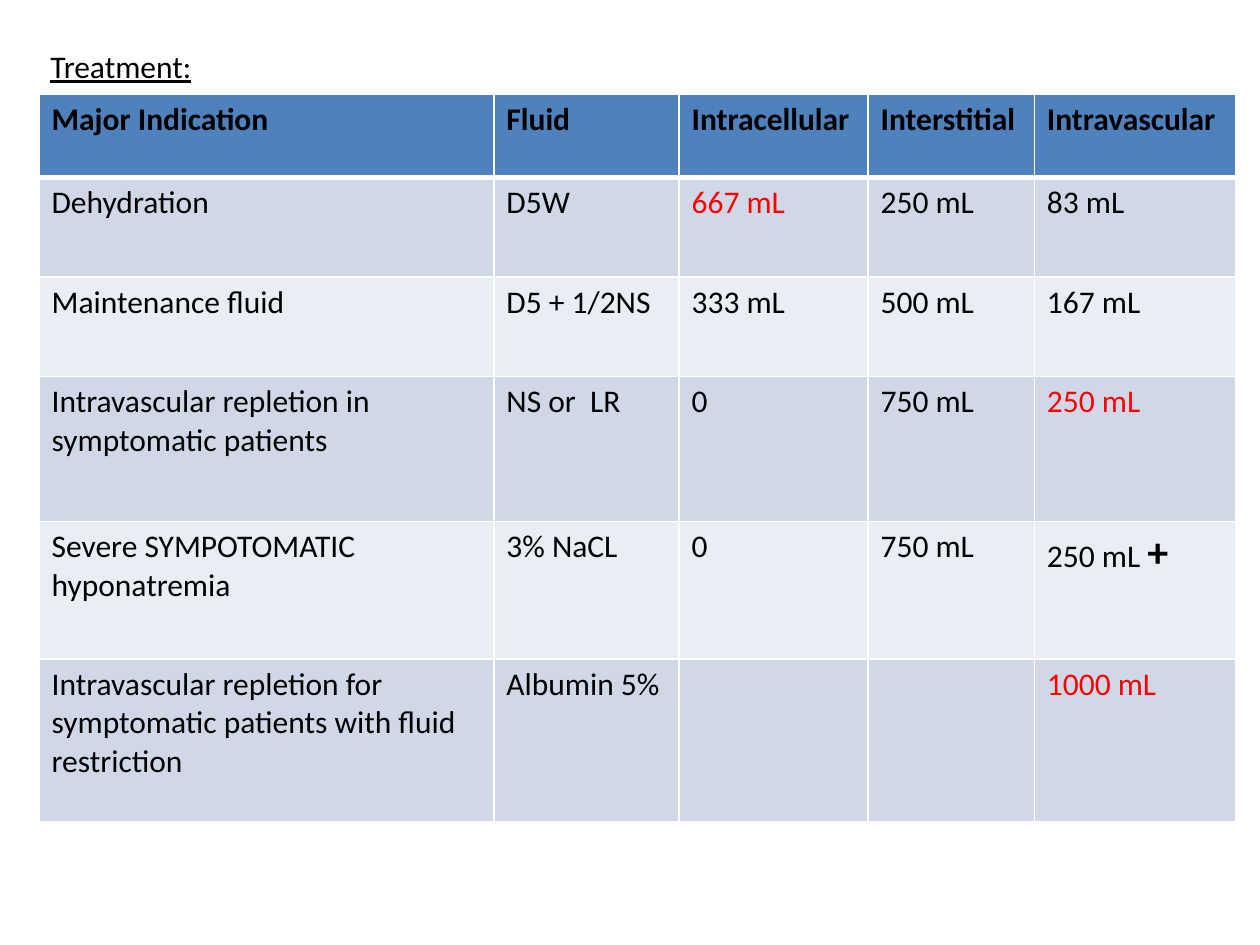
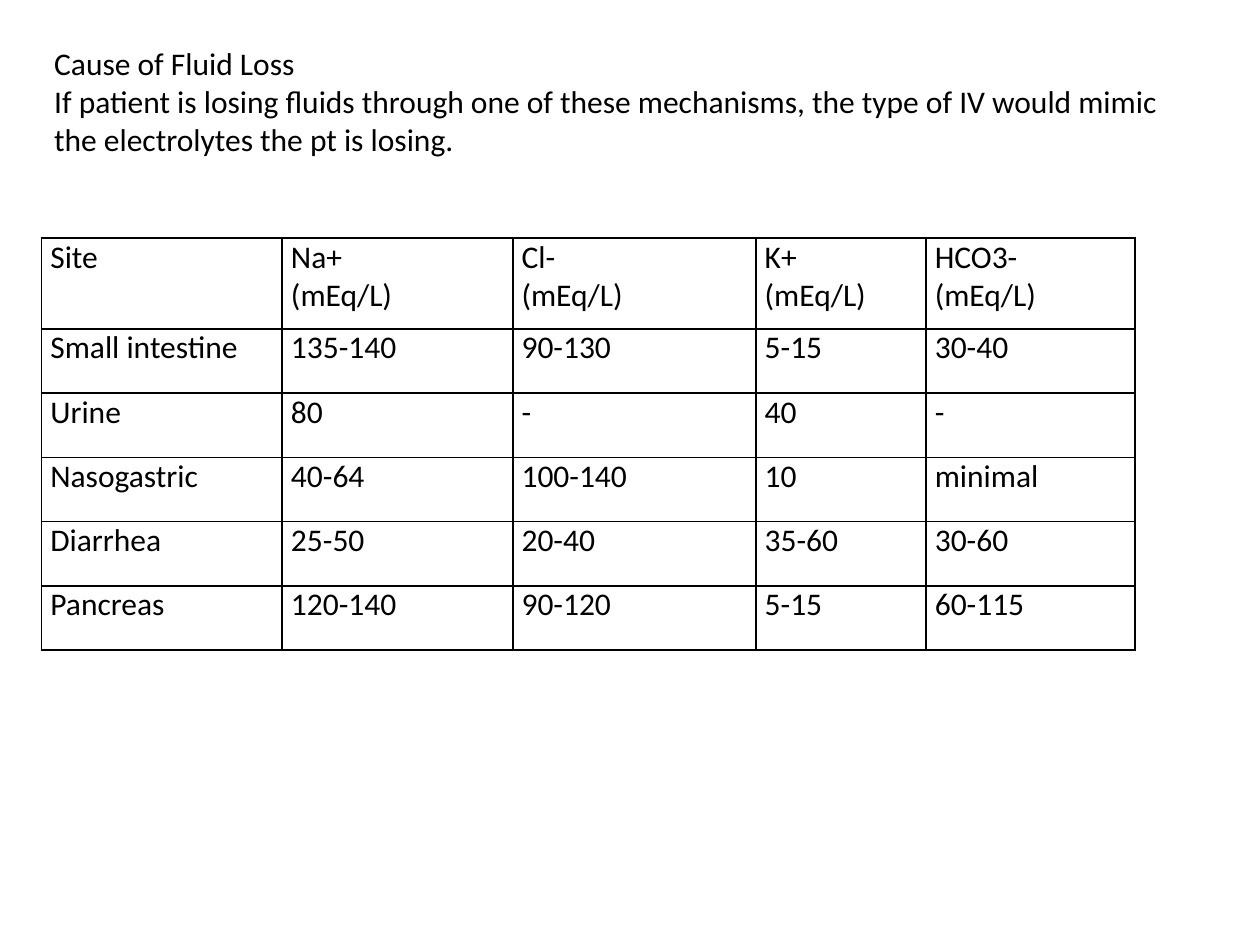
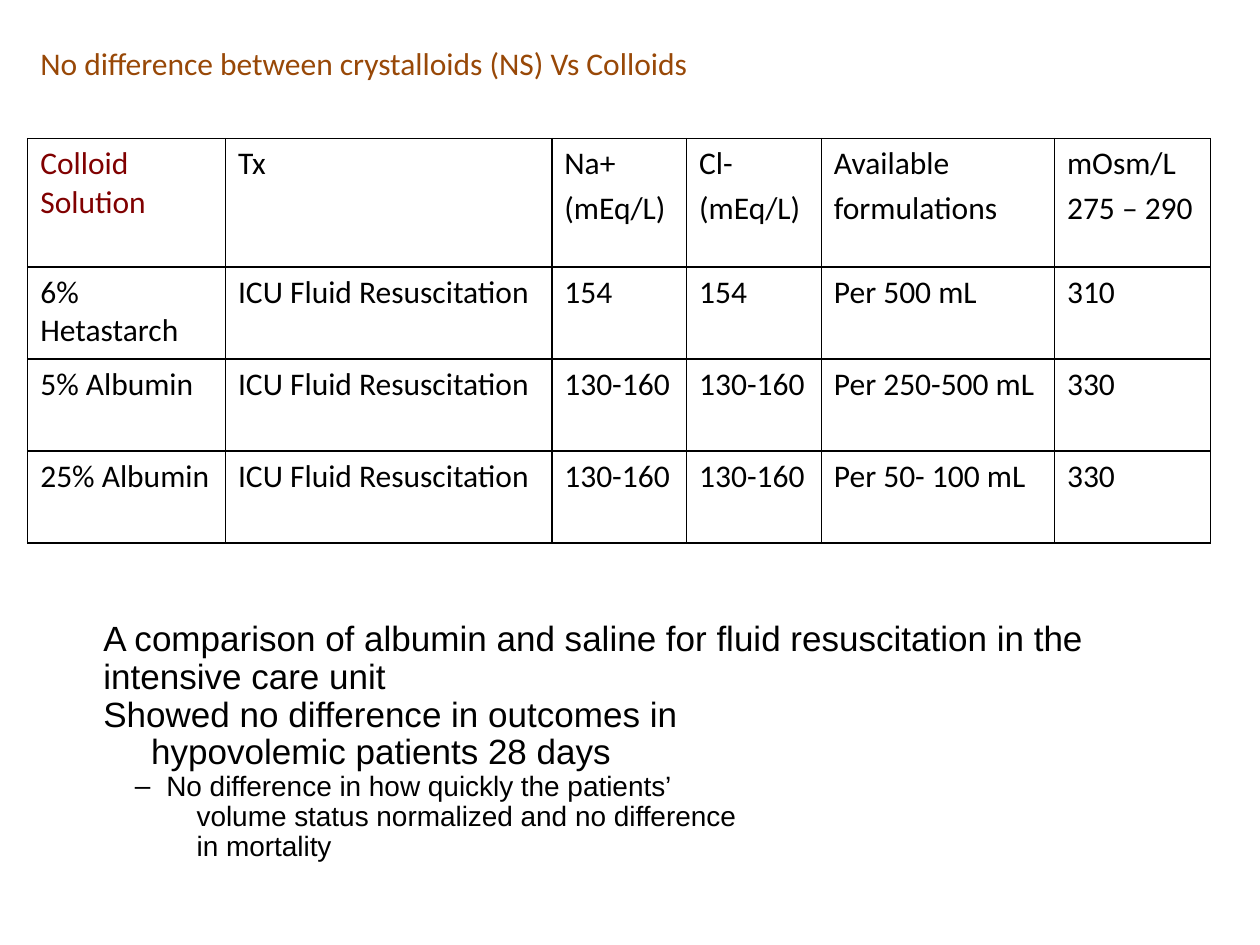
from pptx import Presentation
from pptx import util as u
from pptx.dml.color import RGBColor
from pptx.enum import text as t
from pptx.oxml import parse_xml
from pptx.oxml.ns import nsdecls

HUES = {
    "ink": "000000", "white": "FFFFFF", "head": "4F81BD", "dark": "D0D8E8",
    "light": "E9EDF4", "red": "FF0000", "maroon": "800000", "brown": "984807",
}
FONT = "Calibri"
TITLE_ONLY, TITLE_BODY = 5, 1


def write(frame, paras, font=FONT, size=18, hue="ink", bold=False,
          under=False, gap=0, lead=1.0):
    """Fill a frame; a paragraph is a string or a list of (text, size, bold)."""
    for i, para in enumerate(paras):
        p = frame.paragraphs[0] if i == 0 else frame.add_paragraph()
        p.alignment = t.PP_ALIGN.LEFT
        p.line_spacing = lead
        p.space_before = u.Pt(gap if i else 0)
        runs = [(para, size, bold)] if isinstance(para, str) else para
        for words, pts, heavy in runs:
            r = p.add_run()
            r.text = words
            r.font.name, r.font.size = font, u.Pt(pts)
            r.font.bold, r.font.underline = heavy, under
            r.font.color.rgb = RGBColor.from_string(HUES[hue])


def place(shape, box, wrap=True):
    """Move a placeholder to its box and anchor its text at the top."""
    shape.left, shape.top, shape.width, shape.height = map(u.Inches, box)
    frame = shape.text_frame
    frame.auto_size = t.MSO_AUTO_SIZE.NONE
    frame.vertical_anchor = t.MSO_ANCHOR.TOP
    frame.word_wrap = wrap
    return frame


def start(deck, kind, box, paras, wrap=True, **fmt):
    """Add a slide with its heading."""
    slide = deck.slides.add_slide(deck.slide_layouts[kind])
    write(place(slide.shapes.title, box, wrap), paras, **fmt)
    return slide


def edge(cell, hue, **widths):
    """Draw cell borders; sides are L, R, T and B with widths in points."""
    props = cell._tc.get_or_add_tcPr()
    for i, side in enumerate("LRTB"):
        props.insert(i, parse_xml(
            f'<a:ln{side} {nsdecls("a")} w="{u.Pt(widths.get(side, 1))}">'
            f'<a:solidFill><a:srgbClr val="{HUES[hue]}"/></a:solidFill>'
            f'</a:ln{side}>'))


def grid(slide, left, top, cols, rows, data, line="ink", pad=(0.1, 0.05),
         bands=None, tints=None, gap=0):
    """Add a table; bands holds the header fill and two alternating fills."""
    box = map(u.Inches, (left, top, sum(cols), sum(rows)))
    table = slide.shapes.add_table(len(rows), len(cols), *box).table
    table.first_row = table.horz_banding = False
    for col, wide in zip(table.columns, cols):
        col.width = u.Inches(wide)
    for row, high in zip(table.rows, rows):
        row.height = u.Inches(high)
    for i, items in enumerate(data):
        for j, item in enumerate(items):
            cell = table.cell(i, j)
            cell.margin_left = cell.margin_right = u.Inches(pad[0])
            cell.margin_top = cell.margin_bottom = u.Inches(pad[1])
            if bands:
                hue = bands[0] if i == 0 else bands[2 - i % 2]
                cell.fill.solid()
                cell.fill.fore_color.rgb = RGBColor.from_string(HUES[hue])
            else:
                cell.fill.background()
            edge(cell, line, B=3 if bands and i == 0 else 1,
                 T=3 if bands and i == 1 else 1)
            paras = item.split("\n") if isinstance(item, str) else [item]
            if item:
                write(cell.text_frame, paras, gap=gap,
                      hue=(tints or {}).get((i, j), "ink"),
                      bold=bool(bands) and i == 0)


def notes(slide, box, items):
    """Fill the body list; an item is (text, level, indent, mark)."""
    frame = place(slide.placeholders[1], box)
    sizes = {1: 20, 2: 16}
    write(frame, [[(words, sizes[level], False)] for words, level, _, _ in items],
          font="Arial", lead=0.9)
    for p, (_, level, indent, mark) in zip(frame.paragraphs, items):
        p.level = level
        props = p._p.get_or_add_pPr()
        props.set("marL", str(u.Inches(indent)))
        props.set("indent", str(u.Inches(-0.25 if mark else 0)))
        bullet = f'buChar {nsdecls("a")} char="{mark}"' if mark else f'buNone {nsdecls("a")}'
        props.append(parse_xml(f"<a:{bullet}/>"))


def treat(deck):
    slide = start(deck, TITLE_ONLY, (0.3, 0.32, 1.36, 0.4), ["Treatment:"],
                  wrap=False, under=True)
    grid(slide, 0.31, 0.75, [3.61, 1.47, 1.5, 1.32, 1.6],
         [0.66, 0.79, 0.79, 1.15, 1.09, 1.29], [
             ["Major Indication", "Fluid", "Intracellular", "Interstitial",
              "Intravascular"],
             ["Dehydration", "D5W", "667 mL", "250 mL", "83 mL"],
             ["Maintenance fluid", "D5 + 1/2NS", "333 mL", "500 mL", "167 mL"],
             ["Intravascular repletion in symptomatic patients", "NS or  LR",
              "0", "750 mL", "250 mL"],
             ["Severe SYMPOTOMATIC hyponatremia", "3% NaCL", "0", "750 mL",
              [("250 mL ", 18, False), ("+", 24, True)]],
             ["Intravascular repletion for symptomatic patients with fluid "
              "restriction", "Albumin 5%", "", "", "1000 mL"],
         ], line="white", bands=("head", "dark", "light"),
         tints={(1, 2): "red", (3, 4): "red", (5, 4): "red"})


def losses(deck):
    slide = start(deck, TITLE_ONLY, (0.33, 0.3, 9.21, 1.01), [
        "Cause of Fluid Loss",
        "If patient is losing fluids through one of these mechanisms, the type "
        "of IV would mimic the electrolytes the pt is losing."])
    ions = [f"{ion}\n(mEq/L)" for ion in ("Na+", "Cl-", "K+", "HCO3-")]
    grid(slide, 0.33, 1.89, [1.91, 1.83, 1.93, 1.35, 1.66],
         [0.72] + [0.51] * 5, [
             ["Site"] + ions,
             ["Small intestine", "135-140", "90-130", "5-15", "30-40"],
             ["Urine", "80", "-", "40", "-"],
             ["Nasogastric", "40-64", "100-140", "10", "minimal"],
             ["Diarrhea", "25-50", "20-40", "35-60", "30-60"],
             ["Pancreas", "120-140", "90-120", "5-15", "60-115"],
         ], pad=(0.07, 0))


def colloids(deck):
    slide = start(deck, TITLE_BODY, (0.22, 0.3, 5.42, 0.4),
                  ["No difference between crystalloids (NS) Vs Colloids"],
                  wrap=False, hue="brown")
    use = "ICU Fluid Resuscitation"
    grid(slide, 0.22, 1.1, [1.57, 2.59, 1.07, 1.07, 1.85, 1.24],
         [1.02] + [0.73] * 3, [
             ["Colloid Solution", "Tx", "Na+\n(mEq/L)", "Cl-\n(mEq/L)",
              "Available\nformulations", "mOsm/L\n275 – 290"],
             ["6% Hetastarch", use, "154", "154", "Per 500 mL", "310"],
             ["5% Albumin", use, "130-160", "130-160", "Per 250-500 mL", "330"],
             ["25% Albumin", use, "130-160", "130-160", "Per 50- 100 mL", "330"],
         ], tints={(0, 0): "maroon"}, gap=3.6)
    notes(slide, (0.22, 4.88, 9.39, 2.04), [
        ("A comparison of albumin and saline for fluid resuscitation in the "
         "intensive care unit", 1, 0.5, ""),
        ("Showed no difference in outcomes in", 1, 0.5, ""),
        ("hypovolemic patients 28 days", 1, 0.88, ""),
        ("No difference in how quickly the patients’", 2, 1, "–"),
        ("volume status normalized and no difference", 2, 1.24, ""),
        ("in mortality", 2, 1.24, ""),
    ])


def main():
    deck = Presentation()
    deck.slide_width, deck.slide_height = u.Inches(10), u.Inches(7.5)
    for build in (treat, losses, colloids):
        build(deck)
    deck.save("out.pptx")


if __name__ == "__main__":
    main()
